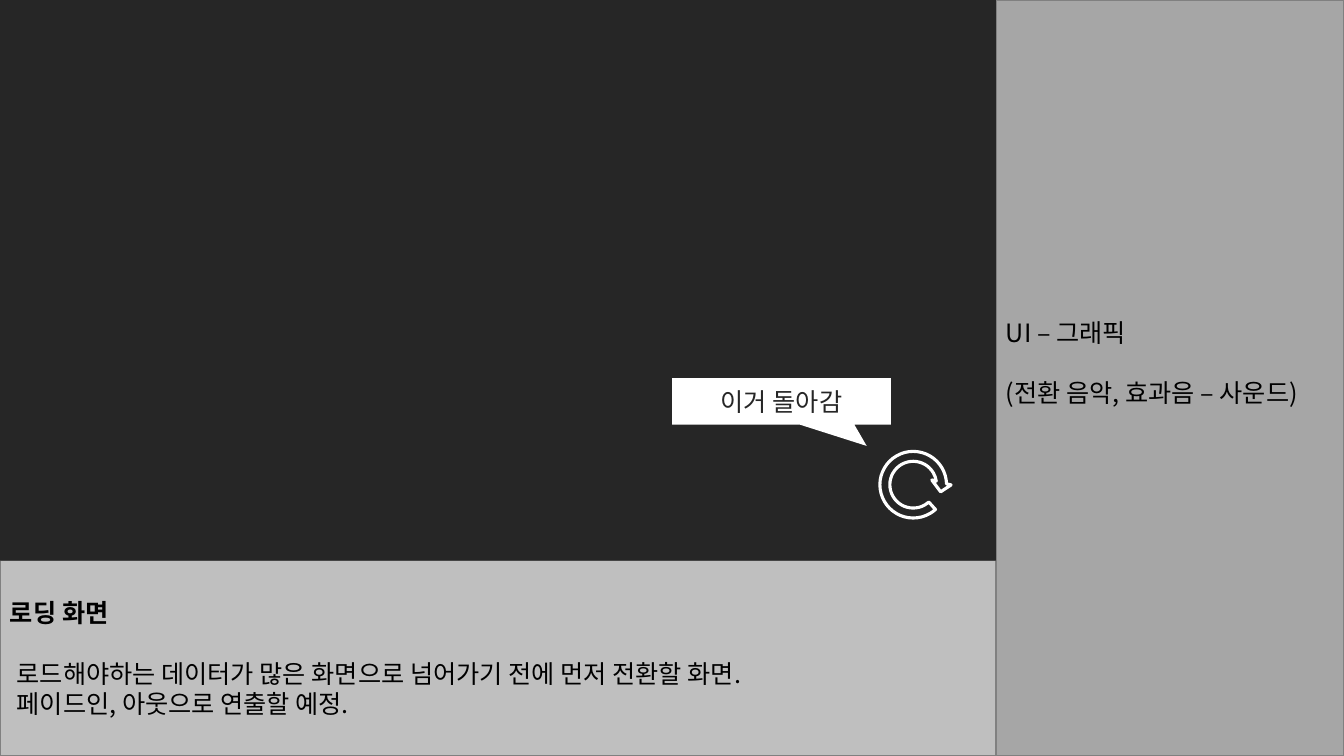
from dataclasses import dataclass

from lxml import etree
from pptx import Presentation
from pptx import util as u
from pptx.dml.color import RGBColor
from pptx.enum import shapes, text
from pptx.oxml.ns import qn


@dataclass(frozen=True)
class Theme:
    font: str = "Noto Sans CJK KR"
    size: float = 18
    leading: float = 21.5
    ink: str = "000000"
    screen: str = "262626"
    caption: str = "BFBFBF"
    sidebar: str = "A6A6A6"
    border: str = "808080"
    light: str = "FFFFFF"


THEME = Theme()
SLIDE_W, SLIDE_H = 33.87, 19.05
SCREEN_W, SCREEN_H = 25.1, 14.13


def apply(target, values):
    for key, value in values.items():
        setattr(target, key, value)


def place(shape, left, top, width, height):
    apply(shape, dict(left=u.Cm(left), top=u.Cm(top),
                      width=u.Cm(width), height=u.Cm(height)))


def paint(shape, fill, line=None, weight=1):
    shape.fill.solid()
    shape.fill.fore_color.rgb = RGBColor.from_string(fill)
    if line:
        shape.line.color.rgb = RGBColor.from_string(line)
        shape.line.width = u.Pt(weight)
    else:
        shape.line.fill.background()


def add_block(slide, preset, box, fill, line=None, weight=1, adjust=()):
    """Add a flat preset shape."""
    block = slide.shapes.add_shape(preset, *(u.Cm(v) for v in box))
    block.shadow.inherit = False
    paint(block, fill, line, weight)
    for i, value in enumerate(adjust):
        block.adjustments[i] = value
    return block


def write(shape, lines, color=THEME.ink, bold=False, align=text.PP_ALIGN.LEFT,
          anchor=text.MSO_ANCHOR.MIDDLE, gap=0, indent=0, top=0.13, bottom=0.13):
    """Fill a shape with one paragraph per line, gap points apart."""
    frame = shape.text_frame
    frame.text = "\n".join(lines)
    apply(frame, dict(word_wrap=True, auto_size=text.MSO_AUTO_SIZE.NONE,
                      vertical_anchor=anchor,
                      margin_left=u.Cm(0.25), margin_right=u.Cm(0.25),
                      margin_top=u.Cm(top), margin_bottom=u.Cm(bottom)))
    for i, paragraph in enumerate(frame.paragraphs):
        apply(paragraph, dict(alignment=align, line_spacing=u.Pt(THEME.leading),
                              space_before=u.Pt(gap if i else 0),
                              space_after=u.Pt(0)))
        # Paragraph indent without a bullet
        props = paragraph._p.get_or_add_pPr()
        props.set("marL", str(u.Cm(indent)))
        props.set("indent", "0")
        etree.SubElement(props, qn("a:buNone"))
        for run in paragraph.runs:
            apply(run.font, dict(name=THEME.font, size=u.Pt(THEME.size), bold=bold))
            run.font.color.rgb = RGBColor.from_string(color)
            east_asian = etree.SubElement(run._r.get_or_add_rPr(), qn("a:ea"))
            east_asian.set("typeface", THEME.font)


def add_caption(slide):
    """Grey strip with the description, and its heading on top."""
    heading, description = slide.shapes.title, slide.placeholders[1]
    place(description, 0, SCREEN_H, SCREEN_W, SLIDE_H - SCREEN_H)
    paint(description, THEME.caption, THEME.border)
    write(description, ["로드해야하는 데이터가 많은 화면으로 넘어가기 전에 먼저 전환할 화면.",
                        "페이드인, 아웃으로 연출할 예정."],
          anchor=text.MSO_ANCHOR.BOTTOM, indent=0.17, bottom=0.95)
    place(heading, 0, 15.06, SCREEN_W, 0.76)
    write(heading, ["로딩 화면"], bold=True, top=0, bottom=0)
    slide.shapes._spTree.append(heading._element)


def add_sidebar(slide):
    sidebar = add_block(slide, shapes.MSO_SHAPE.RECTANGLE,
                        (SCREEN_W, 0, SLIDE_W - SCREEN_W, SLIDE_H),
                        THEME.sidebar, THEME.border)
    write(sidebar, ["UI – 그래픽", "(전환 음악, 효과음 – 사운드)"],
          gap=THEME.leading, bottom=0.89)


def add_loading_screen(slide):
    """Dark screen with the spinner and the callout that explains it."""
    add_block(slide, shapes.MSO_SHAPE.RECTANGLE, (0, 0, SCREEN_W, SCREEN_H),
              THEME.screen)
    add_block(slide, shapes.MSO_SHAPE.CIRCULAR_ARROW, (22.05, 11.25, 1.93, 1.93),
              THEME.screen, THEME.light, 2.25,
              adjust=(0.13, 11.42, 213.28, 28.82, 0.13))
    callout = add_block(slide, shapes.MSO_SHAPE.RECTANGULAR_CALLOUT,
                        (16.94, 9.53, 5.51, 1.17), THEME.light,
                        adjust=(0.39, 0.96))
    write(callout, ["이거 돌아감"], color=THEME.screen,
          align=text.PP_ALIGN.CENTER)


def main():
    deck = Presentation()
    apply(deck, dict(slide_width=u.Cm(SLIDE_W), slide_height=u.Cm(SLIDE_H)))
    slide = deck.slides.add_slide(deck.slide_layouts[1])
    add_caption(slide)
    add_sidebar(slide)
    add_loading_screen(slide)
    deck.save("out.pptx")


main()
